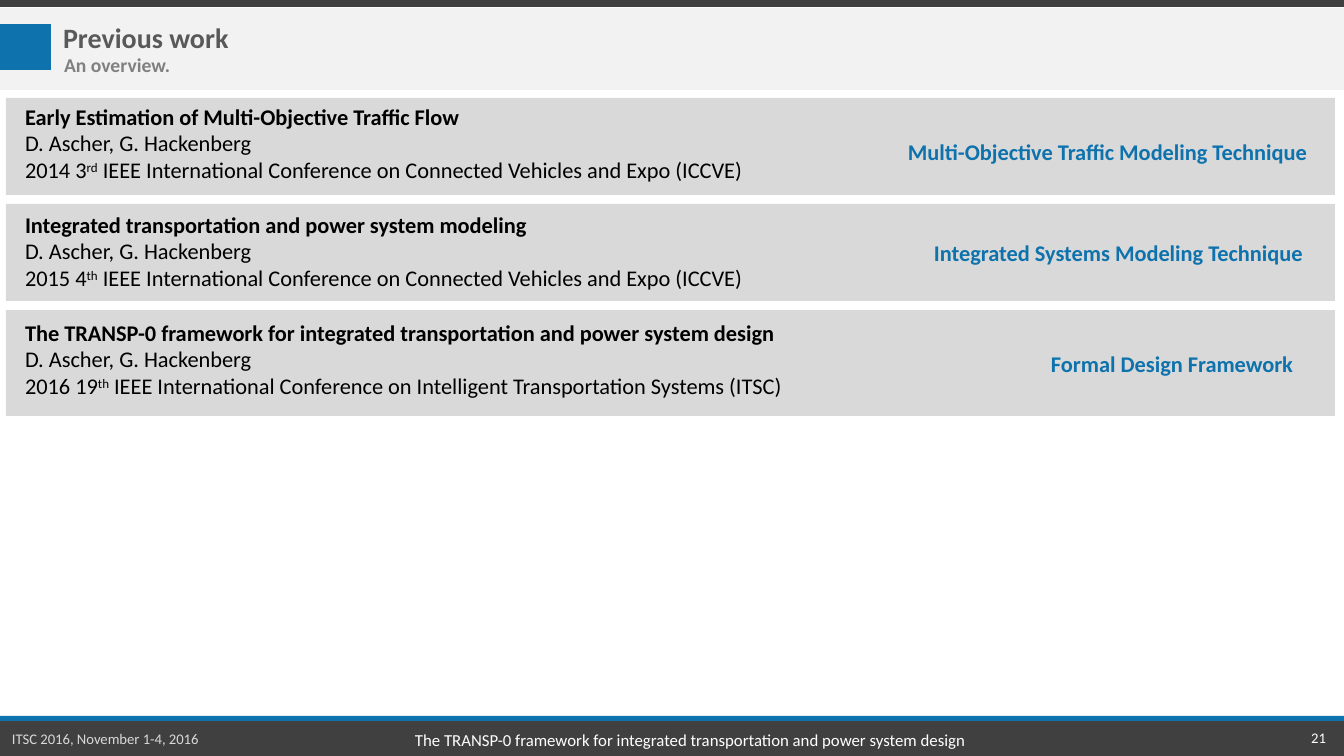
from pptx import Presentation
from pptx.dml.color import RGBColor
from pptx.enum.shapes import MSO_SHAPE
from pptx.enum.text import MSO_ANCHOR, MSO_AUTO_SIZE, PP_ALIGN
from pptx.util import Emu, Pt

EMU_PER_PX = 914400 / 100.8
BLUE, DARK, PALE, GREY = "0E72AD", "404040", "F2F2F2", "D9D9D9"


def box(*lengths):
    """Turn px lengths into EMU."""
    return [Emu(round(n * EMU_PER_PX)) for n in lengths]


def write(sp, lines, size, color, bold=False, align=PP_ALIGN.LEFT):
    """Fill a shape with lines; a tuple line is (before, superscript, after)."""
    tf = sp.text_frame
    tf.word_wrap = False
    tf.auto_size = MSO_AUTO_SIZE.NONE
    tf.vertical_anchor = MSO_ANCHOR.MIDDLE
    tf.margin_left = tf.margin_right = tf.margin_top = tf.margin_bottom = 0
    for i, line in enumerate(lines):
        p = tf.paragraphs[0] if i == 0 else tf.add_paragraph()
        p.alignment = align
        p.font.name, p.font.size = "Calibri", Pt(size)
        p.font.bold = bold and i == 0
        p.font.color.rgb = RGBColor.from_string(color)
        parts = line if isinstance(line, tuple) else (line,)
        for j, part in enumerate(parts):
            r = p.add_run()
            r.text = part
            if j == 1:
                r.font._element.set("baseline", "30000")


prs = Presentation()
prs.slide_width, prs.slide_height = box(1344, 756)
s = prs.slides.add_slide(prs.slide_layouts[5])

# Bands and publication cards
for *place, color in [
    (6, 310, 1329, 106, GREY),
    (6, 204, 1329, 97, GREY),
    (6, 98, 1329, 97, GREY),
    (0, 721, 1344, 35, DARK),
    (0, 0, 1344, 7, DARK),
    (0, 716, 1344, 5, BLUE),
    (0, 8, 1344, 82, PALE),
    (0, 24, 51, 46, BLUE),
]:
    sp = s.shapes.add_shape(MSO_SHAPE.RECTANGLE, *box(*place))
    sp.shadow.inherit = False
    sp.fill.solid()
    sp.fill.fore_color.rgb = RGBColor.from_string(color)
    sp.line.fill.background()

# Title, brought in front of the header band
title = s.shapes.title
title.left, title.top, title.width, title.height = box(63, 20, 168, 34)
write(title, ["Previous work"], 20, "595959", bold=True)
s.shapes.element.append(title.element)

# Publications
authors = "D. Ascher, G. Hackenberg"
iccve = " IEEE International Conference on Connected Vehicles and Expo (ICCVE)"
itsc = " IEEE International Conference on Intelligent Transportation Systems (ITSC)"
framework = "The TRANSP-0 framework for integrated transportation and power system design"
publications = [
    ("Early Estimation of Multi-Objective Traffic Flow", ("2014 3", "rd", iccve)),
    ("Integrated transportation and power system modeling", ("2015 4", "th", iccve)),
    (framework, ("2016 19", "th", itsc)),
]
for i, (name, venue) in enumerate(publications):
    sp = s.shapes.add_textbox(*box(25, 102 + 108 * i, 780, 82))
    write(sp, [name, authors, venue], 16, "000000", bold=True)

# Subtitle, contributions and footer
for *place, text, size, color, bold in [
    (64, 53, 108, 24, "An overview.", 14, "808080", True),
    (908, 138, 402, 27, "Multi-Objective Traffic Modeling Technique", 16, BLUE, True),
    (934, 239, 372, 27, "Integrated Systems Modeling Technique", 16, BLUE, True),
    (1051, 350, 244, 27, "Formal Design Framework", 16, BLUE, True),
    (12, 730, 192, 18, "ITSC 2016, November 1-4, 2016", 10.5, GREY, False),
    (415, 730, 556, 20, framework, 12, "FFFFFF", False),
]:
    write(s.shapes.add_textbox(*box(*place)), [text], size, color, bold)

number = s.shapes.add_textbox(*box(1201, 718, 125, 40))
write(number, ["21"], 10.5, "FFFFFF", align=PP_ALIGN.RIGHT)

prs.save("out.pptx")
